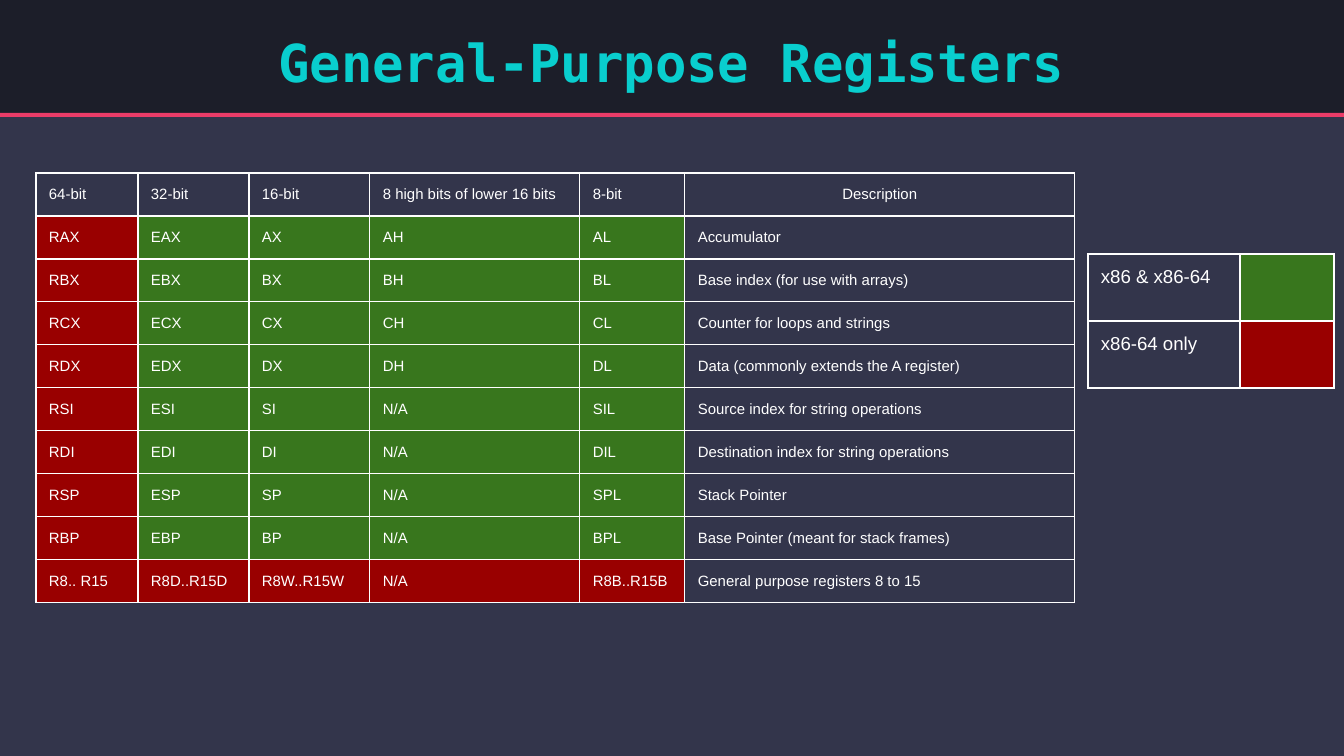
from dataclasses import dataclass

from lxml.etree import SubElement
from pptx import Presentation
from pptx.dml.color import RGBColor
from pptx.enum.shapes import MSO_SHAPE
from pptx.enum.text import MSO_ANCHOR, MSO_AUTO_SIZE, PP_ALIGN
from pptx.oxml.ns import qn
from pptx.util import Emu, Pt


@dataclass(frozen=True)
class Theme:
    background: str = "33354B"
    band: str = "1C1E29"
    accent: str = "EB3C68"
    title: str = "09CECE"
    text: str = "FFFFFF"
    both: str = "38761D"
    only_64: str = "990000"
    title_font: str = "DejaVu Sans Mono"
    body_font: str = "Arial"
    title_size: int = 28
    table_size: int = 8
    legend_size: int = 10
    border_width: float = 0.75


THEME = Theme()
PAGE_WIDTH, PAGE_HEIGHT = 1344, 756
PADDING = 13
HEADER = ["64-bit", "32-bit", "16-bit", "8 high bits of lower 16 bits", "8-bit", "Description"]
REGISTERS = [
    ["RAX", "EAX", "AX", "AH", "AL", "Accumulator"],
    ["RBX", "EBX", "BX", "BH", "BL", "Base index (for use with arrays)"],
    ["RCX", "ECX", "CX", "CH", "CL", "Counter for loops and strings"],
    ["RDX", "EDX", "DX", "DH", "DL", "Data (commonly extends the A register)"],
    ["RSI", "ESI", "SI", "N/A", "SIL", "Source index for string operations"],
    ["RDI", "EDI", "DI", "N/A", "DIL", "Destination index for string operations"],
    ["RSP", "ESP", "SP", "N/A", "SPL", "Stack Pointer"],
    ["RBP", "EBP", "BP", "N/A", "BPL", "Base Pointer (meant for stack frames)"],
    ["R8.. R15", "R8D..R15D", "R8W..R15W", "N/A", "R8B..R15B", "General purpose registers 8 to 15"],
]


def px(length):
    return Emu(round(length * 914400 / 134.4))


def color(value):
    return RGBColor.from_string(value)


def add_text(para, text, font, size, fill, bold=False):
    span = para.add_run()
    span.text = text
    span.font.name = font
    span.font.size = Pt(size)
    span.font.bold = bold
    span.font.color.rgb = color(fill)


def add_bar(page, left, top, width, height, fill):
    bar = page.shapes.add_shape(MSO_SHAPE.RECTANGLE, px(left), px(top), px(width), px(height))
    bar.shadow.inherit = False
    bar.fill.solid()
    bar.fill.fore_color.rgb = color(fill)
    bar.line.fill.background()


def add_heading(page, left, top, width, height, text):
    add_bar(page, left, top, width, height - 4, THEME.band)
    add_bar(page, left, top + height - 4, width, 4, THEME.accent)
    title = page.shapes.title
    title.element.getparent().append(title.element)
    title.left, title.top = px(left + 126), px(top + 13)
    title.width, title.height = px(width - 254), px(height - 32)
    frame = title.text_frame
    frame.auto_size = MSO_AUTO_SIZE.NONE
    frame.word_wrap = True
    frame.vertical_anchor = MSO_ANCHOR.TOP
    frame.margin_left = frame.margin_right = px(PADDING)
    frame.margin_top, frame.margin_bottom = px(17), px(0)
    para = frame.paragraphs[0]
    para.alignment = PP_ALIGN.CENTER
    add_text(para, text, THEME.title_font, THEME.title_size, THEME.title, bold=True)


def add_borders(cell):
    properties = cell._tc.get_or_add_tcPr()
    for side in ("a:lnL", "a:lnR", "a:lnT", "a:lnB"):
        line = SubElement(properties, qn(side), w=str(Pt(THEME.border_width)))
        fill = SubElement(line, qn("a:solidFill"))
        SubElement(fill, qn("a:srgbClr"), val=THEME.text)


def fill_cell(cell, text, size, fill):
    cell.margin_left = cell.margin_right = px(PADDING)
    cell.margin_top = cell.margin_bottom = px(PADDING)
    add_borders(cell)
    if fill:
        cell.fill.solid()
        cell.fill.fore_color.rgb = color(fill)
    else:
        cell.fill.background()
    if text:
        add_text(cell.text_frame.paragraphs[0], text, THEME.body_font, size, THEME.text)


def add_grid(page, left, top, widths, row_height, rows, size, fill_at):
    box = page.shapes.add_table(
        len(rows), len(widths), px(left), px(top), px(sum(widths)), px(row_height * len(rows))
    )
    table = box.table
    table.first_row = table.horz_banding = False
    for column, width in zip(table.columns, widths):
        column.width = px(width)
    for row_index, texts in enumerate(rows):
        table.rows[row_index].height = px(row_height)
        for column_index, text in enumerate(texts):
            cell = table.cell(row_index, column_index)
            fill_cell(cell, text, size, fill_at(row_index, column_index))
    return table


def register_fill(row, column):
    if row == 0 or column == len(HEADER) - 1:
        return None
    return THEME.only_64 if column == 0 or row == len(REGISTERS) else THEME.both


def legend_fill(row, column):
    return (THEME.both, THEME.only_64)[row] if column else None


def add_registers(page, left, top):
    widths = [102, 111, 121, 210, 105, 390]
    rows = [HEADER] + REGISTERS
    table = add_grid(page, left, top, widths, 43, rows, THEME.table_size, register_fill)
    table.cell(0, len(HEADER) - 1).text_frame.paragraphs[0].alignment = PP_ALIGN.CENTER


def add_legend(page, left, top):
    rows = [["x86 & x86-64", ""], ["x86-64 only", ""]]
    add_grid(page, left, top, [152, 94], 64, rows, THEME.legend_size, legend_fill)


def main():
    deck = Presentation()
    deck.slide_width, deck.slide_height = px(PAGE_WIDTH), px(PAGE_HEIGHT)
    page = deck.slides.add_slide(deck.slide_layouts[5])
    page.background.fill.solid()
    page.background.fill.fore_color.rgb = color(THEME.background)
    add_heading(page, 0, 0, PAGE_WIDTH, 117, "General-Purpose Registers")
    add_registers(page, 36, 173)
    add_legend(page, 1088, 254)
    deck.save("out.pptx")


if __name__ == "__main__":
    main()
